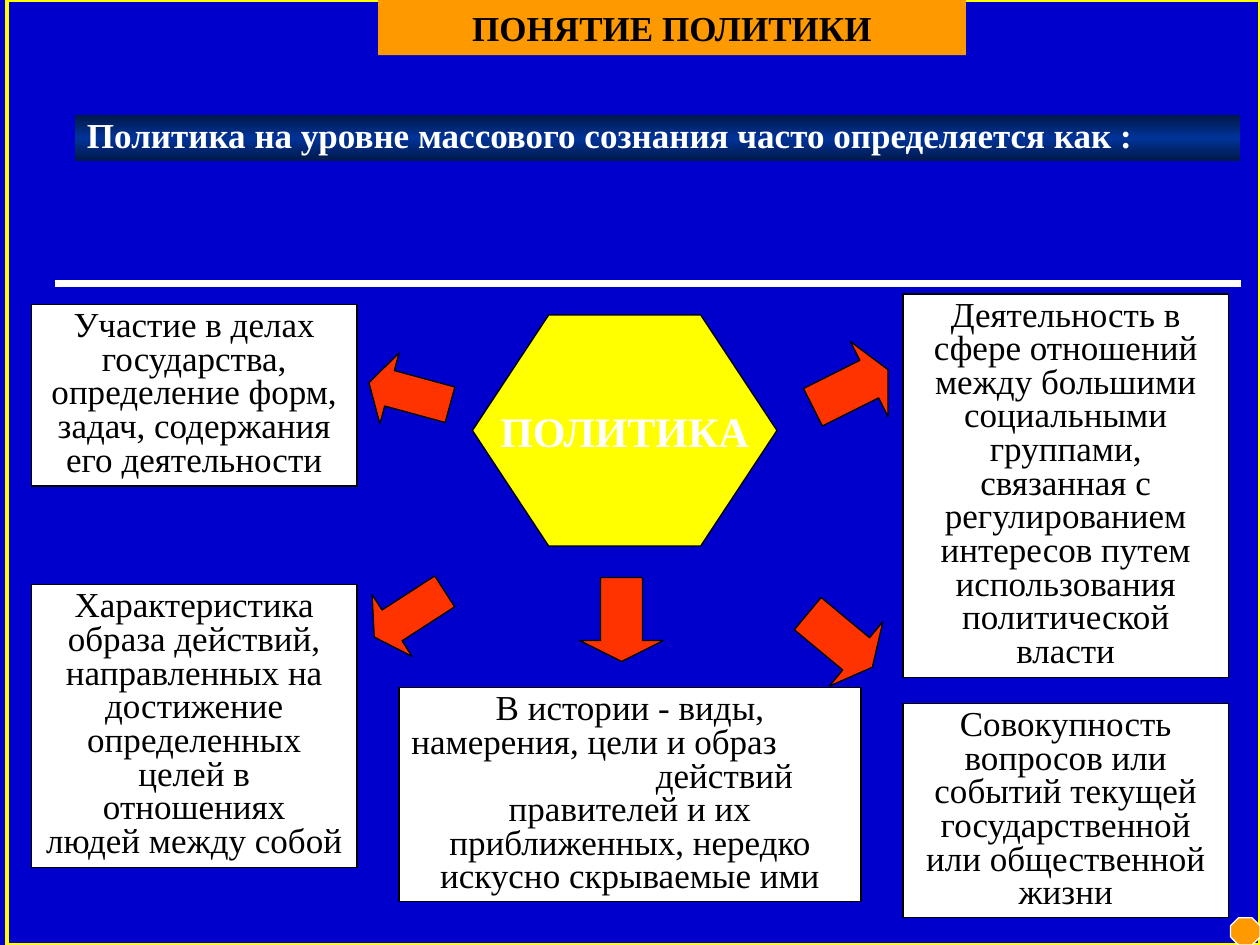
from copy import deepcopy

from pptx import Presentation
from pptx.dml.color import RGBColor
from pptx.enum.shapes import MSO_CONNECTOR as Line, MSO_SHAPE as Shape
from pptx.enum.text import MSO_ANCHOR as Anchor, MSO_AUTO_SIZE as Fit, PP_ALIGN as Align
from pptx.oxml.ns import qn
from pptx.util import Inches, Pt

COLORS = {
    "back": "0000CC", "frame": "FFFF00", "title": "FF9900", "white": "FFFFFF",
    "black": "000000", "arrow": "FF3300", "edge": "001847", "mid": "003399",
}
WIDTH, HEIGHT = 10, 7.5
COLS, ROWS = 120, 90
FONT = {"name": "Times New Roman", "size": Pt(20), "bold": False}
HEADING = {"bold": True}
HUB = {"bold": True, "size": Pt(24)}
TIGHT = 0.8

TITLE = "ПОНЯТИЕ ПОЛИТИКИ"
LEAD = "Политика на уровне массового сознания часто определяется как :"
CENTER = "ПОЛИТИКА"

DEFINITIONS = [
    ((3, 29, 31, 17.3), [
        ("Участие в делах государства, определение форм, задач, "
         "содержания его деятельности", Align.CENTER, 0)]),
    ((38, 65.5, 44, 20.4), [
        ("В истории - виды,", Align.CENTER, 0),
        ("намерения, цели и образ", Align.LEFT, 0),
        ("действий", Align.CENTER, 18),
        ("правителей и их приближенных, нередко искусно скрываемые ими", Align.CENTER, 0)]),
    ((86, 28, 31, 36.5), [
        ("Деятельность в сфере отношений между большими социальными группами, "
         "связанная с регулированием интересов путем использования "
         "политической власти", Align.CENTER, 0)]),
    ((3, 55.7, 31, 26.9), [
        ("Характеристика образа действий, направленных на достижение "
         "определенных целей в\vотношениях\vлюдей между собой", Align.CENTER, 0)]),
    ((86, 67, 31, 20.4), [
        ("Совокупность вопросов или событий текущей государственной "
         "или общественной жизни", Align.CENTER, 0)]),
]

ARROWS = [
    (Shape.DOWN_ARROW, (55.2, 55, 8, 8), 0, 0.25),
    (Shape.LEFT_ARROW, (35, 34, 8, 7), 15.2, 0.29),
    (Shape.RIGHT_ARROW, (77, 33, 8, 8), 333.4, 0.25),
    (Shape.RIGHT_ARROW, (76, 57, 8, 8), 39.7, 0.25),
    (Shape.LEFT_ARROW, (35, 55, 8, 7), 327.1, 0.29),
]


def rgb(name):
    return RGBColor.from_string(COLORS[name])


def place(cells):
    units = (WIDTH / COLS, HEIGHT / ROWS) * 2
    return [Inches(n * unit) for n, unit in zip(cells, units)]


def add_shape(kind, cells, fill=None, line=None, weight=0.75):
    sp = slide.shapes.add_shape(kind, *place(cells))
    sp.shadow.inherit = False
    if fill:
        sp.fill.solid()
        sp.fill.fore_color.rgb = rgb(fill)
    else:
        sp.fill.background()
    if line:
        sp.line.color.rgb = rgb(line)
        sp.line.width = Pt(weight)
    else:
        sp.line.fill.background()
    return sp


def write(sp, paragraphs, color="black", spacing=1, font=None, **frame):
    tf = sp.text_frame
    layout = {"word_wrap": True, "vertical_anchor": Anchor.TOP,
              "auto_size": Fit.SHAPE_TO_FIT_TEXT}
    for key, value in {**layout, **frame}.items():
        setattr(tf, key, value)
    for i, (text, align, indent) in enumerate(paragraphs):
        p = tf.paragraphs[0] if i == 0 else tf.add_paragraph()
        p.text = text
        p.alignment = align
        p.line_spacing = spacing
        if indent:
            p._p.get_or_add_pPr().set("marL", str(Inches(indent * WIDTH / COLS)))
        for r in p.runs:
            for key, value in {**FONT, **(font or {})}.items():
                setattr(r.font, key, value)
            r.font.color.rgb = rgb(color)


def add_gradient(sp, names):
    sp.fill.gradient()
    sp.fill.gradient_angle = 270
    stops = sp._element.spPr.find(qn("a:gradFill")).find(qn("a:gsLst"))
    stops.insert(1, deepcopy(stops[0]))
    for i, (stop, name) in enumerate(zip(sp.fill.gradient_stops, names)):
        stop.position = i / (len(names) - 1)
        stop.color.rgb = rgb(name)


prs = Presentation()
prs.slide_width, prs.slide_height = Inches(WIDTH), Inches(HEIGHT)
slide = prs.slides.add_slide(prs.slide_layouts[6])
slide.background.fill.solid()
slide.background.fill.fore_color.rgb = rgb("back")

add_shape(Shape.RECTANGLE, (0.7, 0, 119.3, ROWS), line="frame", weight=2.25)
add_shape(Shape.OCTAGON, (117.2, 87.4, 2.8, 2.6), "title", "white")

title = add_shape(Shape.RECTANGLE, (36, 0, 56, 5.25), "title")
write(title, [(TITLE, Align.CENTER, 0)], font=HEADING)

lead = add_shape(Shape.RECTANGLE, (7.1, 10.95, 111, 4.4))
add_gradient(lead, ("edge", "mid", "edge"))
write(lead, [(LEAD, Align.LEFT, 0)], "white", TIGHT, HEADING)

for cells, paragraphs in DEFINITIONS:
    write(add_shape(Shape.RECTANGLE, cells, "white", "black"), paragraphs, spacing=TIGHT)

hub = add_shape(Shape.HEXAGON, (45, 30, 29, 22), "frame", "black")
hub.adjustments[0] = 0.33
write(hub, [(CENTER, Align.CENTER, 0)], "white", font=HUB, word_wrap=False,
      vertical_anchor=Anchor.MIDDLE, auto_size=Fit.NONE)

for kind, cells, angle, head in ARROWS:
    sp = add_shape(kind, cells, "arrow", "black")
    sp.rotation = angle
    sp.adjustments[1] = head

rule = slide.shapes.add_connector(Line.STRAIGHT, *place((5.2, 27, 118.2, 27)))
rule.line.color.rgb = rgb("white")
rule.line.width = Pt(4.5)
spPr = rule._element.spPr
spPr.append(spPr.makeelement(qn("a:effectLst"), {}))

prs.save("out.pptx")
